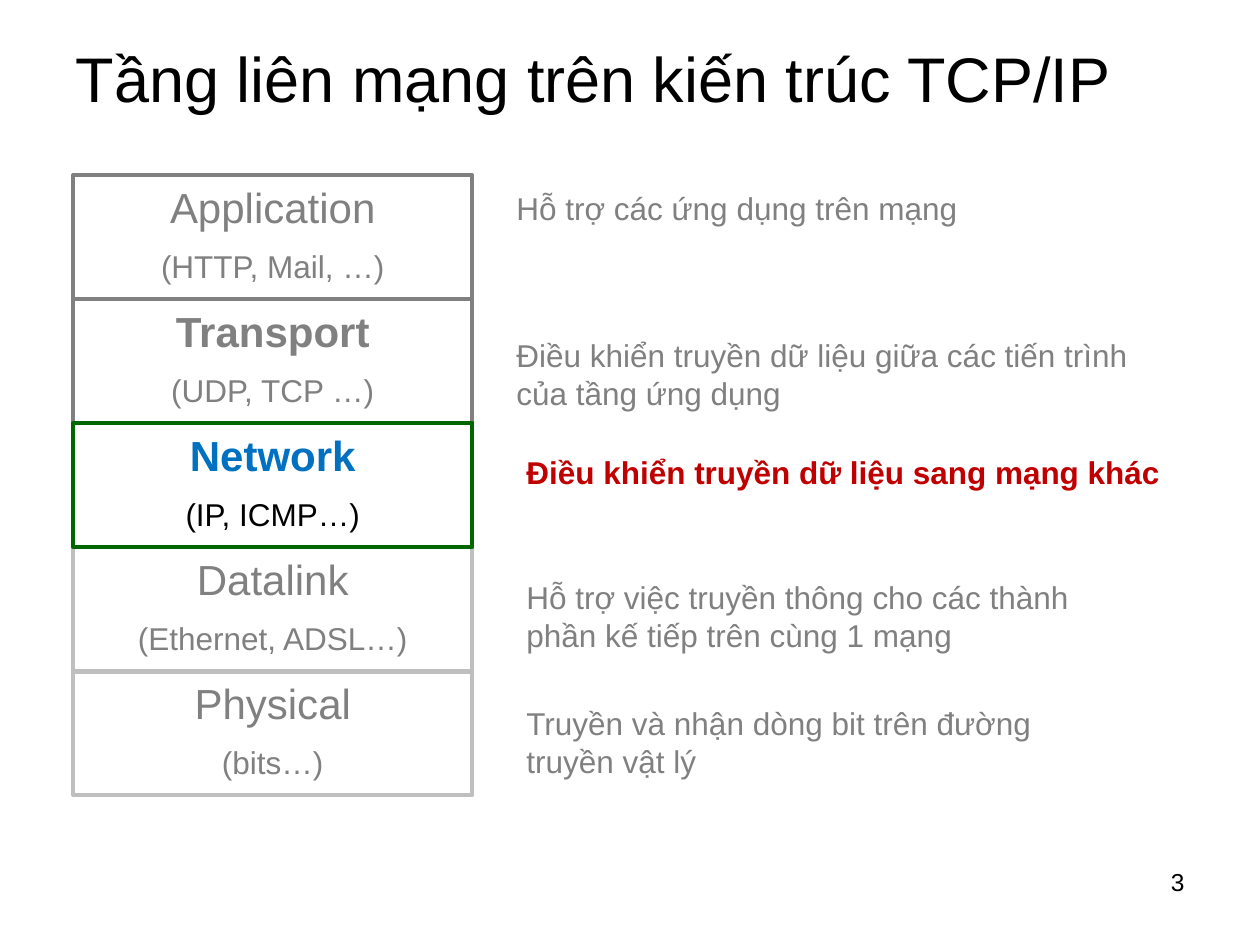
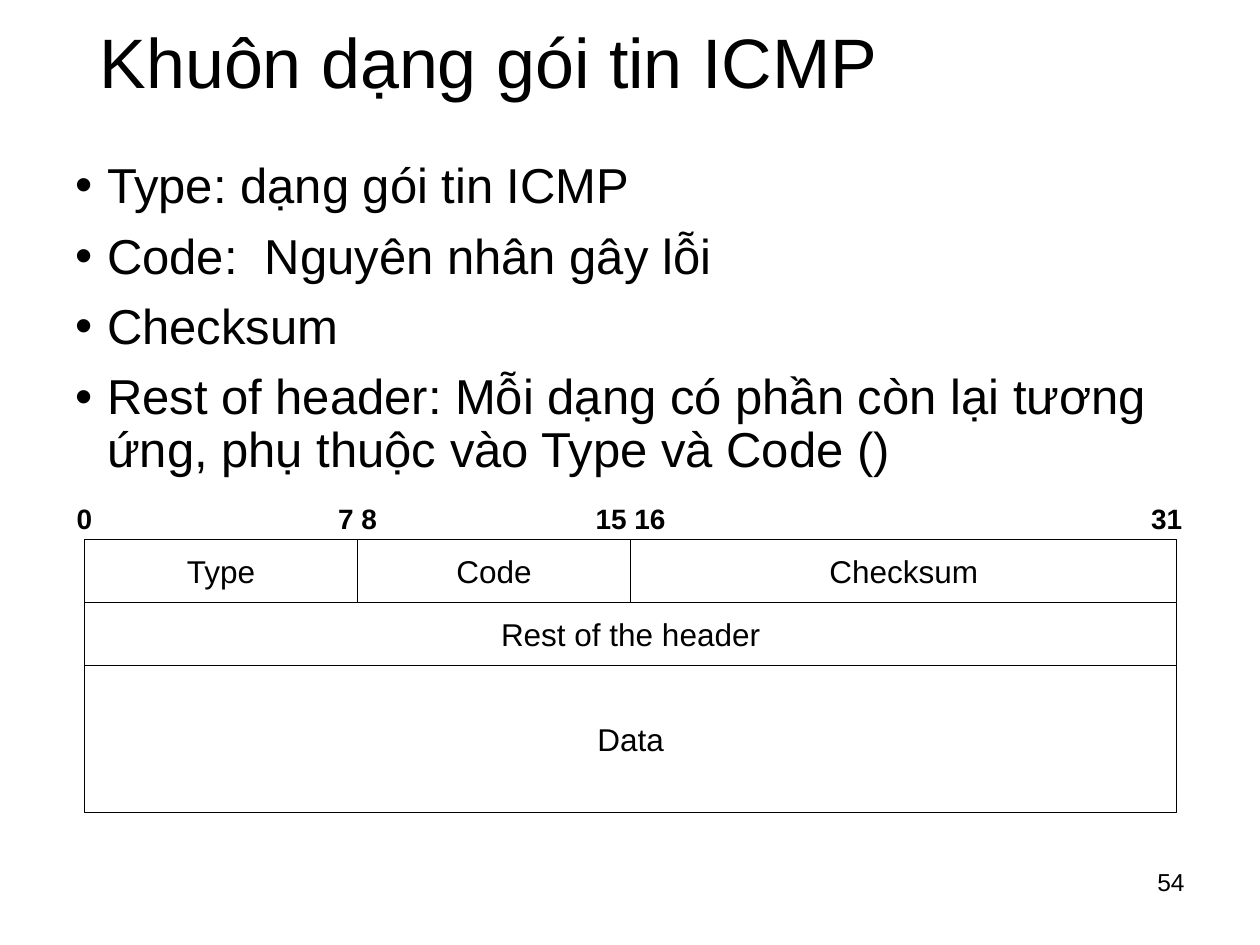
from pptx import Presentation
from pptx import util as u
from pptx.dml.color import RGBColor
from pptx.enum import shapes, text

FONT = "Arial"
BLACK, WHITE = "000000", "FFFFFF"
GRAY, LIGHT = "808080", "BFBFBF"
GREEN, BLUE, RED = "006600", "0070C0", "C00000"
CENTER, LEFT, RIGHT = text.PP_ALIGN.CENTER, text.PP_ALIGN.LEFT, text.PP_ALIGN.RIGHT
TOP, MIDDLE = text.MSO_ANCHOR.TOP, text.MSO_ANCHOR.MIDDLE

STACK_TITLE = "Tầng liên mạng trên kiến trúc TCP/IP"
# name, protocols, bold name, line, name colour, protocol colour
LAYERS = [
    ("Application", "(HTTP, Mail, …)", False, GRAY, GRAY, GRAY),
    ("Transport", "(UDP, TCP …)", True, GRAY, GRAY, GRAY),
    ("Network", "(IP, ICMP…)", True, GREEN, BLUE, BLACK),
    ("Datalink", "(Ethernet, ADSL…)", False, LIGHT, GRAY, GRAY),
    ("Physical", "(bits…)", False, LIGHT, GRAY, GRAY),
]
# text, (left, top, width, height), format
ROLES = [
    ("Hỗ trợ các ứng dụng trên mạng", (4, 1.45, 4, 0.4), {}),
    ("Điều khiển truyền dữ liệu giữa các tiến trình của tầng ứng dụng",
     (4, 2.62, 5.5, 0.7), {}),
    ("Điều khiển truyền dữ liệu sang mạng khác",
     (4.08, 3.55, 5.33, 0.4), {"color": RED, "bold": True}),
    ("Hỗ trợ việc truyền thông cho các thành phần kế tiếp trên cùng 1 mạng",
     (4.08, 4.54, 4.67, 0.7), {}),
    ("Truyền và nhận dòng bit trên đường truyền vật lý",
     (4.08, 5.54, 4.67, 0.7), {}),
]
STACK_LEFT, STACK_TOP, LAYER_W, LAYER_H = 0.58, 1.39, 3.17, 0.98

PACKET_TITLE = "Khuôn dạng gói tin ICMP"
FIELD_NOTES = [
    "Type: dạng gói tin ICMP",
    "Code:  Nguyên nhân gây lỗi",
    "Checksum",
    "Rest of header: Mỗi dạng có phần còn lại tương ứng, phụ thuộc vào Type và Code ()",
]
# row height, fields as (name, bits)
PACKET_ROWS = [
    (0.5, [("Type", 8), ("Code", 8), ("Checksum", 16)]),
    (0.5, [("Rest of the header", 32)]),
    (1.17, [("Data", 32)]),
]
# label, bit on which it is centred
BIT_LABELS = [("0", 0), ("7 8", 8), ("15 16", 16), ("31", 31.7)]
PACKET_LEFT, PACKET_TOP, BIT_W = 0.67, 4.28, 8.67 / 32
LABEL_W = 0.9


def rgb(color):
    return RGBColor.from_string(color)


def box(at):
    return [u.Inches(v) for v in at]


def write(tf, content, size=18, color=BLACK, bold=False, align=LEFT,
          before=0, spacing=None, first=True):
    """Fill the first paragraph of tf, or append one when first is False."""
    p = tf.paragraphs[0] if first else tf.add_paragraph()
    p.alignment, p.space_before, p.line_spacing = align, u.Pt(before), spacing
    r = p.add_run()
    r.text = content
    r.font.name, r.font.size, r.font.bold = FONT, u.Pt(size), bold
    r.font.color.rgb = rgb(color)
    return p


def add_text(s, content, at, anchor=TOP, **fmt):
    tf = s.shapes.add_textbox(*box(at)).text_frame
    tf.word_wrap, tf.vertical_anchor = True, anchor
    write(tf, content, **fmt)


def add_rect(s, at, line, width, fill=None, anchor=TOP):
    sp = s.shapes.add_shape(shapes.MSO_SHAPE.RECTANGLE, *box(at))
    sp.shadow.inherit = False
    if fill:
        sp.fill.solid()
        sp.fill.fore_color.rgb = rgb(fill)
    else:
        sp.fill.background()
    sp.line.color.rgb, sp.line.width = rgb(line), u.Pt(width)
    tf = sp.text_frame
    tf.word_wrap, tf.vertical_anchor = True, anchor
    return tf


def place(ph, at, anchor):
    ph.left, ph.top, ph.width, ph.height = box(at)
    tf = ph.text_frame
    tf.auto_size, tf.vertical_anchor = text.MSO_AUTO_SIZE.NONE, anchor
    return tf


def add_slide(prs, layout, title, at, size, number):
    """Add a slide with its title and page number."""
    s = prs.slides.add_slide(prs.slide_layouts[layout])
    write(place(s.shapes.title, at, MIDDLE), title, size=size, spacing=0.9)
    add_text(s, number, (7.17, 6.83, 2.33, 0.5), size=14, align=RIGHT)
    return s


def build_stack(prs):
    s = add_slide(prs, 5, STACK_TITLE, (0.5, 0.09, 8.54, 1.12), 36, "3")
    # Bold layers go last so that their borders lie on top
    for i, layer in sorted(enumerate(LAYERS), key=lambda item: item[1][2]):
        name, protocols, bold, line, name_color, protocol_color = layer
        top = STACK_TOP + i * (LAYER_H + 0.005)
        tf = add_rect(s, (STACK_LEFT, top, LAYER_W, LAYER_H), line, 2.25)
        write(tf, name, size=24, color=name_color, bold=bold, align=CENTER, before=12)
        write(tf, protocols, color=protocol_color, align=CENTER, before=8.5, first=False)
    for role, at, fmt in ROLES:
        add_text(s, role, at, **{"color": GRAY, "before": 9, **fmt})


def build_packet(prs):
    s = add_slide(prs, 1, PACKET_TITLE, (0.69, 0.16, 8.62, 0.73), 40, "54")
    tf = place(s.placeholders[1], (0.5, 1.23, 9, 2.82), TOP)
    for i, note in enumerate(FIELD_NOTES):
        p = write(tf, note, size=28, before=10, spacing=0.9, first=i == 0)
        pPr = p._p.get_or_add_pPr()
        pPr.set("marL", str(u.Inches(0.25)))
        pPr.set("indent", str(u.Inches(-0.25)))

    top = PACKET_TOP
    for height, fields in PACKET_ROWS:
        left = PACKET_LEFT
        for name, bits in fields:
            field = add_rect(s, (left, top, bits * BIT_W, height), BLACK, 0.75,
                             fill=WHITE, anchor=MIDDLE)
            write(field, name, align=CENTER)
            left += bits * BIT_W
        top += height

    for label, bit in BIT_LABELS:
        left = PACKET_LEFT + bit * BIT_W - LABEL_W / 2
        add_text(s, label, (left, 3.86, LABEL_W, 0.5), anchor=MIDDLE,
                 size=16, bold=True, align=CENTER)


def main():
    prs = Presentation()
    prs.slide_width, prs.slide_height = u.Inches(10), u.Inches(7.5)
    build_stack(prs)
    build_packet(prs)
    prs.save("out.pptx")


if __name__ == "__main__":
    main()
